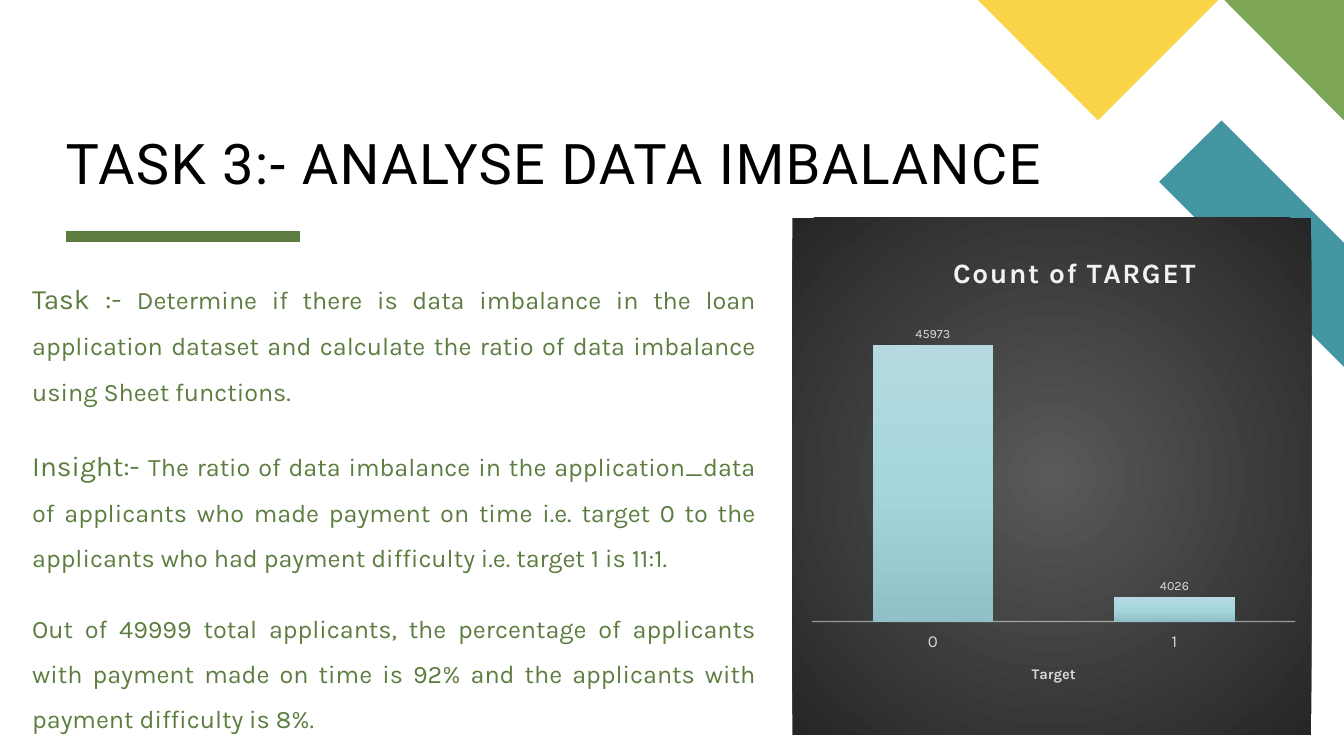
"""Build the data imbalance slide with its count chart."""
from dataclasses import dataclass

from lxml import etree
from pptx import Presentation
from pptx.chart.data import CategoryChartData
from pptx.dml.color import RGBColor
from pptx.enum.chart import XL_CHART_TYPE, XL_LABEL_POSITION, XL_TICK_LABEL_POSITION, XL_TICK_MARK
from pptx.enum.shapes import MSO_CONNECTOR
from pptx.enum.text import MSO_ANCHOR, MSO_AUTO_SIZE, PP_ALIGN
from pptx.oxml import parse_xml
from pptx.oxml.ns import nsdecls, qn
from pptx.util import Pt

COLUMN = XL_CHART_TYPE.COLUMN_CLUSTERED
OUT_END = XL_LABEL_POSITION.OUTSIDE_END
LOW = XL_TICK_LABEL_POSITION.LOW
NO_TICK = XL_TICK_MARK.NONE
STRAIGHT = MSO_CONNECTOR.STRAIGHT
TOP, BOTTOM = MSO_ANCHOR.TOP, MSO_ANCHOR.BOTTOM
NO_FIT = MSO_AUTO_SIZE.NONE
LEFT, JUSTIFY = PP_ALIGN.LEFT, PP_ALIGN.JUSTIFY


@dataclass(frozen=True)
class Theme:
    """Fonts, colours and type sizes of the slide."""
    head: str = "Roboto"
    body: str = "Karla"
    ink: str = "000000"
    moss: str = "5D7D40"
    teal: str = "4495A2"
    green: str = "7CA655"
    gold: str = "F9D448"
    pale: str = "F2F2F2"
    mist: str = "D9D9D9"
    panel: tuple = ((0, "595959"), (100, "262626"))
    bars: tuple = ((0, "B4DAE0"), (50, "A7D6DD"), (100, "91C0C8"))
    title: float = 40
    lead: float = 20
    text: float = 18
    chart: float = 20
    axis: float = 10.5
    tick: float = 12
    label: float = 9


@dataclass(frozen=True)
class Patch:
    """A filled corner polygon."""
    fill: str
    points: tuple


@dataclass(frozen=True)
class Para:
    """A body paragraph with an optional larger lead."""
    lead: str
    text: str


THEME = Theme()
PATCHES = (
    Patch(THEME.teal, ((960, 262), (960, 173.5), (872.6, 86), (828, 129.8))),
    Patch(THEME.green, ((960, 86), (960, 0), (874.5, 0))),
    Patch(THEME.gold, ((698.4, 0), (784.4, 86), (870.4, 0))),
)
PARAS = (
    Para("Task :- ", "Determine if there is data imbalance in the loan application dataset "
         "and calculate the ratio of data imbalance using Sheet functions."),
    Para("Insight:- ", "The ratio of data imbalance in the application_data of applicants who "
         "made payment on time i.e. target 0 to the applicants who had payment difficulty "
         "i.e. target 1 is 11:1."),
    Para("", "Out of 49999 total applicants, the percentage of applicants with payment made "
         "on time is 92% and the applicants with payment difficulty is 8%."),
)


def style(font, face: str, size: float, color: str, bold: bool = False) -> None:
    """Set the look of a font."""
    font.name, font.size, font.bold = face, Pt(size), bold
    font.color.rgb = RGBColor.from_string(color)


def place(shape, left: float, top: float, width: float, height: float) -> None:
    """Move and size a shape."""
    shape.left, shape.top = Pt(left), Pt(top)
    shape.width, shape.height = Pt(width), Pt(height)


def space(run) -> None:
    """Widen the letters of a run by one point."""
    run._r.get_or_add_rPr().set("spc", "100")


def shade(props, stops: tuple, kind: str) -> None:
    """Put a gradient fill into shape properties."""
    marks = "".join(f'<a:gs pos="{pos * 1000}"><a:srgbClr val="{color}"/></a:gs>'
                    for pos, color in stops)
    props.insert(0, parse_xml(
        f'<a:gradFill {nsdecls("a")}><a:gsLst>{marks}</a:gsLst>{kind}</a:gradFill>'))


def layout(left: float, top: float, size: str = "", inner: str = ""):
    """Return a manual chart layout."""
    return parse_xml(
        f'<c:layout {nsdecls("c")}><c:manualLayout>{inner}<c:xMode val="edge"/>'
        f'<c:yMode val="edge"/><c:x val="{left}"/><c:y val="{top}"/>{size}'
        '</c:manualLayout></c:layout>')


def add_patch(slide, patch: Patch) -> None:
    """Draw one corner polygon."""
    first, *rest = [(Pt(x), Pt(y)) for x, y in patch.points]
    pen = slide.shapes.build_freeform(*first)
    pen.add_line_segments(rest)
    shape = pen.convert_to_shape()
    shape.shadow.inherit = False
    shape.fill.solid()
    shape.fill.fore_color.rgb = RGBColor.from_string(patch.fill)
    shape.line.fill.background()


def add_rule(slide) -> None:
    """Draw the bar below the title."""
    rule = slide.shapes.add_connector(STRAIGHT, Pt(46.8), Pt(169.2), Pt(214.6), Pt(169.2))
    rule.line.color.rgb = RGBColor.from_string(THEME.moss)
    rule.line.width = Pt(8)
    etree.SubElement(rule._element.spPr, qn("a:effectLst"))


def set_frame(shape, anchor, insets: tuple):
    """Prepare and return the text frame of a placeholder."""
    frame = shape.text_frame
    frame.word_wrap, frame.auto_size, frame.vertical_anchor = True, NO_FIT, anchor
    (frame.margin_left, frame.margin_top,
     frame.margin_right, frame.margin_bottom) = map(Pt, insets)
    return frame


def fill_title(shape) -> None:
    """Write the slide title."""
    place(shape, 46.8, 15.8, 864, 123.8)
    frame = set_frame(shape, BOTTOM, (0, 0, 0, 0))
    frame.text = "TASK 3:- ANALYSE DATA IMBALANCE"
    para = frame.paragraphs[0]
    para.alignment, para.line_spacing = LEFT, 0.8
    style(para.runs[0].font, THEME.head, THEME.title, THEME.ink)
    space(para.runs[0])


def fill_body(shape) -> None:
    """Write the task and the insights."""
    place(shape, 23, 185.8, 524.2, 338.4)
    frame = set_frame(shape, TOP, (0, 3.6, 7.2, 3.6))
    for at, item in enumerate(PARAS):
        para = frame.add_paragraph() if at else frame.paragraphs[0]
        props = para._p.get_or_add_pPr()
        props.set("marL", "0")
        props.set("indent", "0")
        etree.SubElement(props, qn("a:buNone"))
        para.alignment, para.line_spacing = JUSTIFY, 1.5
        para.space_before = Pt(18 if at else 0)
        for text, size in ((item.lead, THEME.lead), (item.text, THEME.text)):
            if text:
                run = para.add_run()
                run.text = text
                style(run.font, THEME.body, size, THEME.moss)


def add_count(slide) -> None:
    """Add the column chart of target counts."""
    data = CategoryChartData()
    data.categories = ("0", "1")
    data.add_series("Series 1", (45973, 4026))
    frame = slide.shapes.add_chart(COLUMN, Pt(566), Pt(155.5), Pt(370.8), Pt(369.4), data)
    chart = frame.chart
    style(chart.font, THEME.body, 10, "FFFFFF")
    chart.has_legend = False
    chart.has_title = True
    chart.chart_title.include_in_layout = False
    chart.chart_title.text_frame.text = "Count of TARGET"
    run = chart.chart_title.text_frame.paragraphs[0].runs[0]
    style(run.font, THEME.body, THEME.chart, THEME.pale, True)
    space(run)
    head = chart.chart_title._element
    for old in head.findall(qn("c:layout")):
        head.remove(old)
    head.find(qn("c:tx")).addnext(layout(0.3, 0.06))

    area = chart._chartSpace.chart.plotArea
    for old in area.findall(qn("c:layout")):
        area.remove(old)
    area.insert(0, layout(0.038, 0.2, '<c:w val="0.931"/><c:h val="0.581"/>',
                          '<c:layoutTarget val="inner"/>'))
    panel = parse_xml(f'<c:spPr {nsdecls("c", "a")}><a:ln><a:noFill/></a:ln></c:spPr>')
    shade(panel, THEME.panel, '<a:path path="circle"><a:fillToRect l="50000" t="50000" '
          'r="50000" b="50000"/></a:path>')
    chart._chartSpace.find(qn("c:txPr")).addprevious(panel)

    plot = chart.plots[0]
    plot.gap_width, plot.overlap, plot.vary_by_categories = 100, -24, False
    bars = plot.series[0]
    bars.format.line.fill.background()
    shade(bars._element.get_or_add_spPr(), THEME.bars, '<a:lin ang="5400000" scaled="0"/>')
    labels = bars.data_labels
    labels.show_value, labels.position = True, OUT_END
    style(labels.font, THEME.body, THEME.label, THEME.mist)

    value = chart.value_axis
    value.visible = value.has_major_gridlines = False
    value.minimum_scale, value.maximum_scale = 0, 50000
    axis = chart.category_axis
    axis.major_tick_mark = axis.minor_tick_mark = NO_TICK
    axis.tick_label_position = LOW
    style(axis.tick_labels.font, THEME.body, THEME.tick, THEME.mist)
    axis.format.line.width = Pt(1)
    axis.format.line.color.rgb = RGBColor.from_string(THEME.pale)
    tint = axis._element.find(".//" + qn("a:ln")).find(".//" + qn("a:srgbClr"))
    etree.SubElement(tint, qn("a:alpha")).set("val", "54000")
    axis.axis_title.text_frame.text = "Target"
    run = axis.axis_title.text_frame.paragraphs[0].runs[0]
    style(run.font, THEME.body, THEME.axis, THEME.mist, True)


def main() -> None:
    """Build and save the deck."""
    deck = Presentation()
    deck.slide_width, deck.slide_height = Pt(960), Pt(540)
    slide = deck.slides.add_slide(deck.slide_layouts[1])
    title, body = slide.placeholders
    for patch in PATCHES:
        add_patch(slide, patch)
    add_rule(slide)
    for shape, fill in ((title, fill_title), (body, fill_body)):
        fill(shape)
        slide.shapes._spTree.append(shape._element)
    add_count(slide)
    deck.save("out.pptx")


if __name__ == "__main__":
    main()
